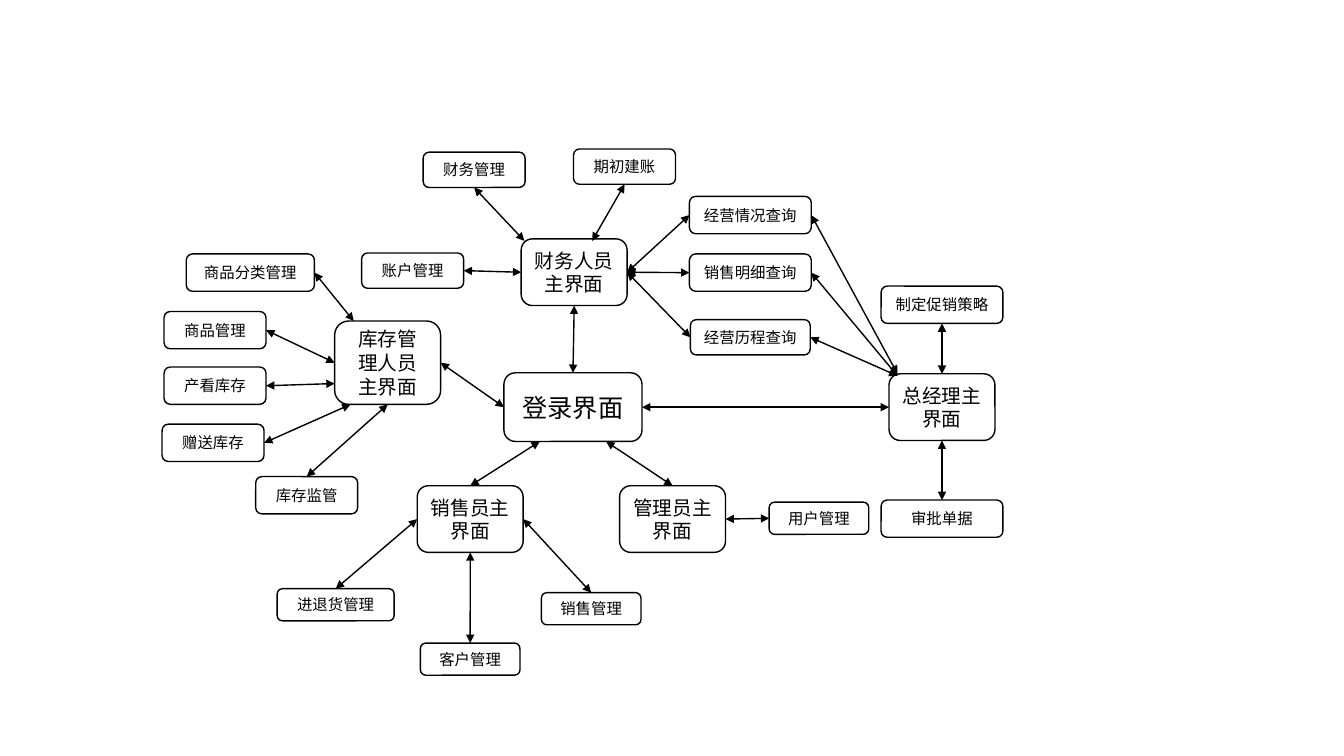
from dataclasses import dataclass
from lxml import etree
from pptx import Presentation
from pptx import util as u
from pptx.dml.color import RGBColor
from pptx.enum import shapes, text
from pptx.oxml.ns import qn


@dataclass(frozen=True)
class Theme:
    font: str = "Noto Sans CJK SC"
    ink: RGBColor = RGBColor(0, 0, 0)
    paper: RGBColor = RGBColor(255, 255, 255)
    line: float = 1
    hub: int = 18
    role: int = 14
    task: int = 11


theme = Theme()

HUB = "登录界面"
STOCK = "库存管理人员主界面"
FINANCE = "财务人员主界面"
MANAGER = "总经理主界面"
SALES = "销售员主界面"
ADMIN = "管理员主界面"

BOXES = [
    (theme.hub, 3.48, 1.73, [(HUB, 14.44, 10.26)]),
    (theme.role, 2.67, 2.1, [(STOCK, 9.77, 9.14)]),
    (theme.role, 2.67, 1.68, [
        (FINANCE, 14.47, 6.86), (MANAGER, 23.74, 10.26),
        (SALES, 11.85, 13.08), (ADMIN, 16.95, 13.08)]),
    (theme.task, 2.57, 0.89, [
        ("账户管理", 10.4, 6.82), ("财务管理", 11.95, 4.28), ("期初建账", 15.74, 4.2)]),
    (theme.task, 3.02, 0.89, [("经营历程查询", 18.91, 8.5)]),
    (theme.task, 3.07, 0.94, [
        ("经营情况查询", 18.91, 5.42), ("销售明细查询", 18.91, 6.87),
        ("审批单据", 23.74, 13.07), ("制定促销策略", 23.74, 7.68)]),
    (theme.task, 2.57, 0.94, [
        ("商品管理", 5.42, 8.32), ("产看库存", 5.42, 9.72),
        ("赠送库存", 5.37, 11.16), ("库存监管", 7.73, 12.48)]),
    (theme.task, 3.23, 0.94, [("商品分类管理", 6.31, 6.87)]),
    (theme.task, 2.51, 0.81, [
        ("客户管理", 11.85, 16.61), ("销售管理", 14.9, 15.34), ("用户管理", 20.64, 13.06)]),
    (theme.task, 2.95, 0.81, [("进退货管理", 8.46, 15.24)]),
]

TOP, LEFT, BOTTOM, RIGHT = range(4)

LINKS = [
    (FINANCE, BOTTOM, HUB, TOP),
    (MANAGER, LEFT, HUB, RIGHT),
    (HUB, (0.74, 1), ADMIN, TOP),
    (HUB, (0.26, 1), SALES, TOP),
    (STOCK, RIGHT, HUB, LEFT),
    ("账户管理", RIGHT, FINANCE, LEFT),
    ("财务管理", BOTTOM, FINANCE, (0.03, 0.03)),
    ("期初建账", BOTTOM, FINANCE, (0.67, 0.03)),
    ("制定促销策略", BOTTOM, MANAGER, TOP),
    (MANAGER, BOTTOM, "审批单据", TOP),
    ("用户管理", LEFT, ADMIN, RIGHT),
    ("经营情况查询", LEFT, FINANCE, RIGHT),
    ("销售明细查询", LEFT, FINANCE, RIGHT),
    ("经营历程查询", LEFT, FINANCE, RIGHT),
    ("经营情况查询", RIGHT, MANAGER, (0.08, 0)),
    ("销售明细查询", RIGHT, MANAGER, (0.08, 0.03)),
    ("经营历程查询", RIGHT, MANAGER, (0.08, 0.03)),
    ("销售管理", TOP, SALES, RIGHT),
    ("客户管理", TOP, SALES, BOTTOM),
    (SALES, LEFT, "进退货管理", TOP),
    (STOCK, (0.18, 0), "商品分类管理", RIGHT),
    (STOCK, LEFT, "商品管理", RIGHT),
    ("产看库存", RIGHT, STOCK, (0, 0.75)),
    ("赠送库存", RIGHT, STOCK, (0.15, 1)),
    (STOCK, BOTTOM, "库存监管", TOP),
]


def add_box(s, label, cx, cy, w, h, size):
    sp = s.shapes.add_shape(shapes.MSO_SHAPE.ROUNDED_RECTANGLE,
                            u.Cm(cx - w / 2), u.Cm(cy - h / 2), u.Cm(w), u.Cm(h))
    sp.shadow.inherit = False
    sp.fill.solid()
    sp.fill.fore_color.rgb = theme.paper
    sp.line.color.rgb = theme.ink
    sp.line.width = u.Pt(theme.line)
    tf = sp.text_frame
    tf.text = label
    tf.word_wrap = True
    tf.margin_top = tf.margin_bottom = 0
    tf.vertical_anchor = text.MSO_ANCHOR.MIDDLE
    p = tf.paragraphs[0]
    p.alignment = text.PP_ALIGN.CENTER
    r = p.runs[0]
    r.font.size = u.Pt(size)
    r.font.name = theme.font
    r.font.color.rgb = theme.ink
    etree.SubElement(r.font._element, qn("a:ea"), typeface=theme.font)
    return sp


def point(sp, spot):
    fx, fy = spot if isinstance(spot, tuple) else (0.5, 0.5)
    return int(sp.left + fx * sp.width), int(sp.top + fy * sp.height)


def add_link(s, start, start_spot, end, end_spot):
    c = s.shapes.add_connector(shapes.MSO_CONNECTOR.STRAIGHT,
                               *point(start, start_spot), *point(end, end_spot))
    if isinstance(start_spot, int):
        c.begin_connect(start, start_spot)
    if isinstance(end_spot, int):
        c.end_connect(end, end_spot)
    c.line.color.rgb = theme.ink
    c.line.width = u.Pt(theme.line)
    ln = c.line._get_or_add_ln()
    for tag in ("a:headEnd", "a:tailEnd"):
        etree.SubElement(ln, qn(tag), type="triangle")
    etree.SubElement(c._element.spPr, qn("a:effectLst"))


prs = Presentation()
prs.slide_width, prs.slide_height = u.Cm(33.87), u.Cm(19.05)
s = prs.slides.add_slide(prs.slide_layouts[6])

boxes = {label: add_box(s, label, cx, cy, w, h, size)
         for size, w, h, members in BOXES
         for label, cx, cy in members}

for start, start_spot, end, end_spot in LINKS:
    add_link(s, boxes[start], start_spot, boxes[end], end_spot)

prs.save("out.pptx")
